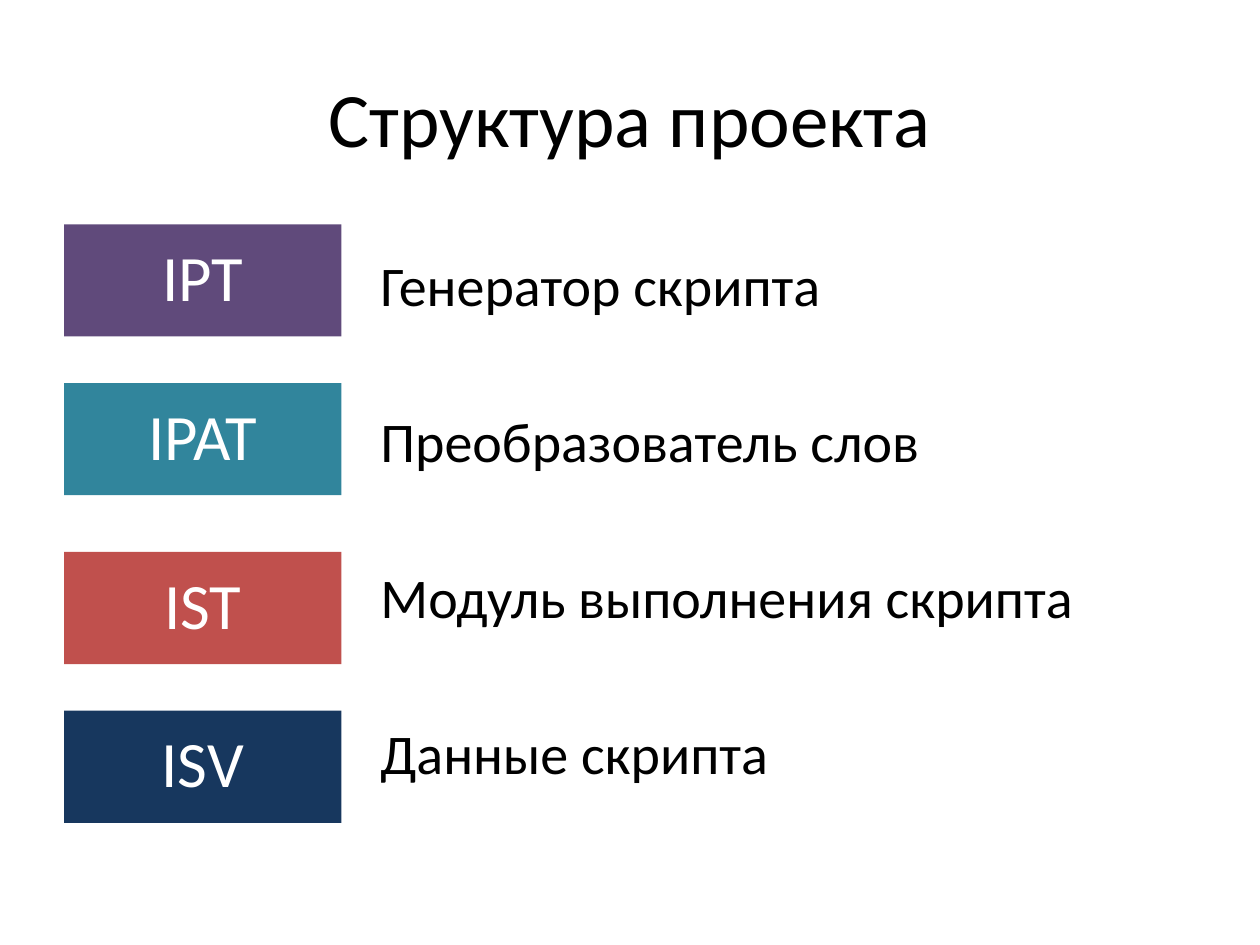
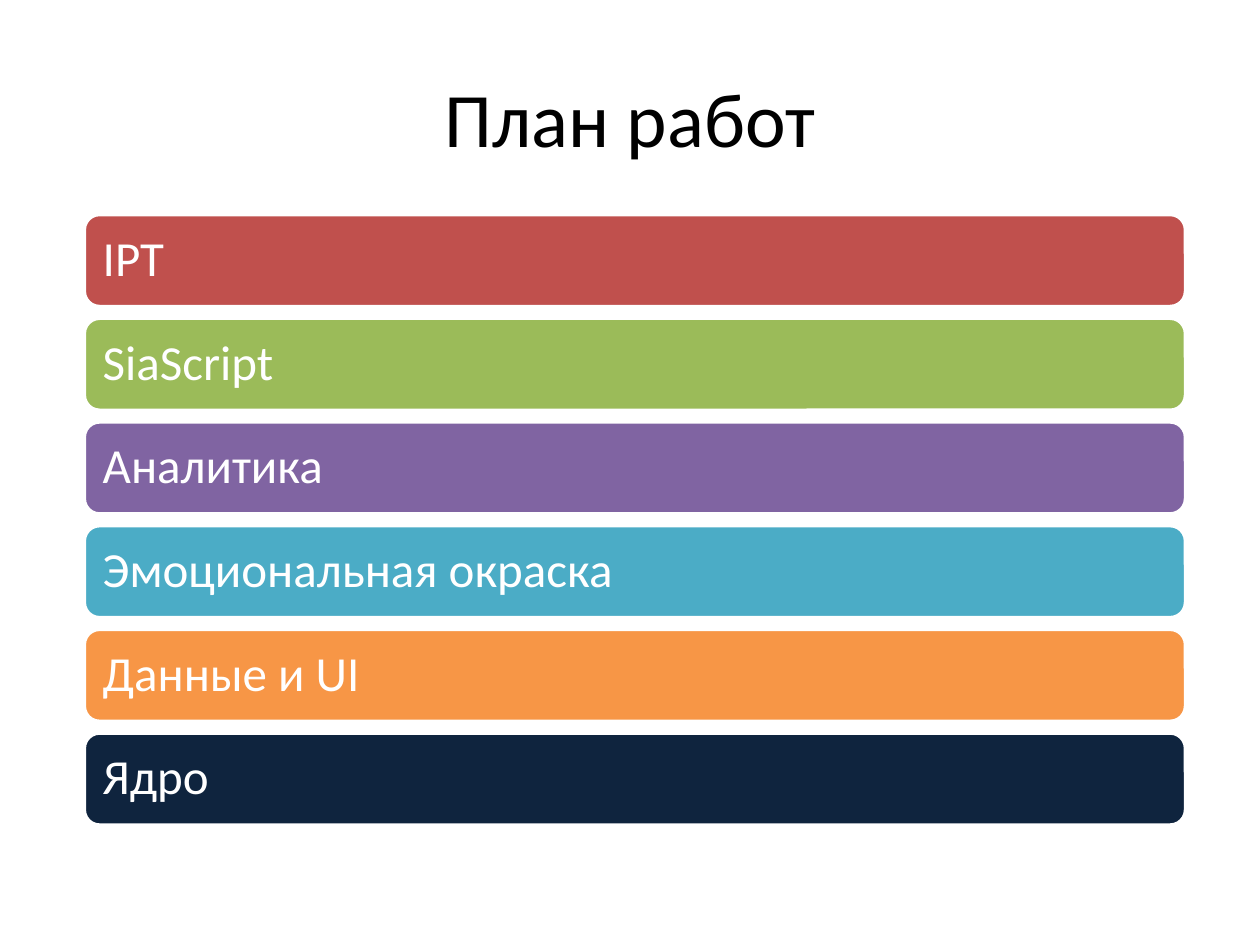
from pptx import Presentation
from pptx.dml.color import RGBColor
from pptx.enum.shapes import MSO_SHAPE
from pptx.enum.text import MSO_ANCHOR, PP_ALIGN
from pptx.util import Pt

HUES = {
    "ink": "000000", "white": "FFFFFF", "red": "C0504D",
    "plum": "604A7B", "teal": "31859C", "navy": "17375E",
    "green": "9BBB59", "violet": "8064A2", "aqua": "4BACC6",
    "orange": "F79646", "night": "0F243E",
}
FRAME = {"word_wrap": True, "vertical_anchor": MSO_ANCHOR.MIDDLE}
INSETS = ("margin_left", "margin_right", "margin_top", "margin_bottom")


def style(par, size, hue, **form):
    font = {"name": "Calibri", "size": Pt(size)}
    for key, val in font.items():
        setattr(par.font, key, val)
    par.font.color.rgb = RGBColor.from_string(HUES[hue])
    for key, val in form.items():
        setattr(par, key, val)


def block(slide, kind, box, hue, text, size, inset, align):
    shape = slide.shapes.add_shape(kind, *map(Pt, box))
    shape.shadow.inherit = False
    shape.fill.solid()
    shape.fill.fore_color.rgb = RGBColor.from_string(HUES[hue])
    frame = shape.text_frame
    for key, val in {**FRAME, **dict.fromkeys(INSETS, Pt(inset))}.items():
        setattr(frame, key, val)
    frame.text = text
    style(frame.paragraphs[0], size, "white", alignment=align, line_spacing=0.9)
    return shape


deck = Presentation()
deck.slide_width, deck.slide_height = Pt(720), Pt(540)

pages = []
for name, kind in (("Структура проекта", 1), ("План работ", 5)):
    page = deck.slides.add_slide(deck.slide_layouts[kind])
    title = page.shapes.title
    title.left, title.top, title.width, title.height = map(Pt, (36, 21.6, 648, 90))
    title.text_frame.text = name
    title.text_frame.vertical_anchor = MSO_ANCHOR.MIDDLE
    style(title.text_frame.paragraphs[0], 44, "ink", alignment=PP_ALIGN.CENTER)
    pages.append(page)
parts, plan = pages

modules = (
    ("IPT", "Генератор скрипта", "plum", 128.2),
    ("IPAT", "Преобразователь слов", "teal", 218.9),
    ("IST", "Модуль выполнения скрипта", "red", 315.4),
    ("ISV", "Данные скрипта", "navy", 406.1),
)
body = parts.placeholders[1]
body.left, body.top, body.width, body.height = map(Pt, (195.8, 139.7, 648, 356.4))
frame = body.text_frame
frame.margin_left = Pt(21.6)
frame.text = "\n".join(role for _, role, _, _ in modules)
for par in frame.paragraphs:
    style(par, 32, "ink", space_before=Pt(0), space_after=Pt(50.7))
    props = par._p.get_or_add_pPr()
    for key in ("marL", "indent"):
        props.set(key, "0")
    props.append(props.makeelement(
        "{http://schemas.openxmlformats.org/drawingml/2006/main}buNone", {}))
    props.append(props.find("{*}defRPr"))

for code, _, hue, top in modules:
    tile = block(parts, MSO_SHAPE.RECTANGLE, (36.7, top, 158.4, 64.1),
                 hue, code, 37, 10.8, PP_ALIGN.CENTER)
    tile.line.fill.background()

steps = (
    ("IPT", "red"), ("SiaScript", "green"), ("Аналитика", "violet"),
    ("Эмоциональная окраска", "aqua"), ("Данные и UI", "orange"),
    ("Ядро", "night"),
)
for row, (text, hue) in enumerate(steps):
    bar = block(plan, MSO_SHAPE.ROUNDED_RECTANGLE,
                (48.2, 122.6 + row * 59.26, 629.3, 52.6),
                hue, text, 28, 8, PP_ALIGN.LEFT)
    bar.line.color.rgb = RGBColor.from_string(HUES["white"])
    bar.line.width = Pt(2)

deck.save("out.pptx")
